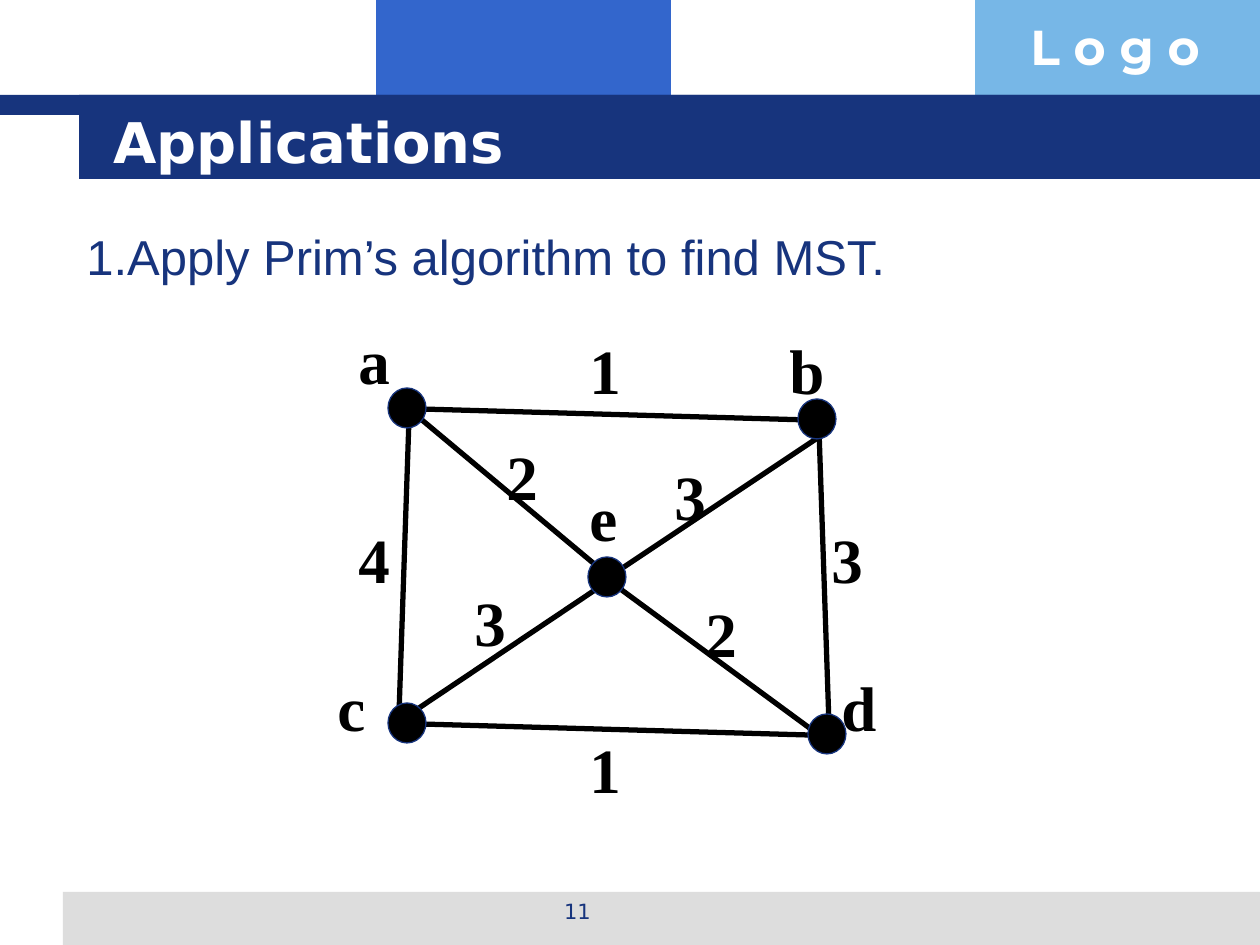
from dataclasses import dataclass

import pptx
import pptx.dml.color
import pptx.enum.shapes
import pptx.enum.text
import pptx.oxml.ns
import pptx.util
from lxml import etree

PX = 914400 / 126  # EMU in one px
COLORS = {"navy": "17347D", "blue": "3366CC", "sky": "77B7E7",
          "gray": "DDDDDD", "white": "FFFFFF", "black": "000000"}
SHAPES = pptx.enum.shapes.MSO_SHAPE
ALIGN = pptx.enum.text.PP_ALIGN
NODE_SIZE = (38, 40)
LABEL_SIZE = (68, 89)


@dataclass
class Band:
    left: int
    top: int
    width: int
    height: int
    color: str


@dataclass
class Caption:
    text: str
    left: int
    top: int
    width: int
    height: int
    size: int
    font: str
    color: str
    bold: bool = False
    align: ALIGN = ALIGN.LEFT
    space_before: int = 0


@dataclass
class Node:
    name: str
    left: int
    top: int
    label_left: int
    label_top: int


@dataclass
class Edge:
    weight: str
    start: tuple[int, int]
    end: tuple[int, int]
    label_left: int
    label_top: int


def px(length: int) -> int:
    return round(length * PX)


def rgb(color: str) -> pptx.dml.color.RGBColor:
    return pptx.dml.color.RGBColor.from_string(COLORS[color])


def draw_band(slide, band: Band) -> None:
    bar = slide.shapes.add_shape(SHAPES.RECTANGLE, px(band.left), px(band.top),
                                 px(band.width), px(band.height))
    bar.shadow.inherit = False
    bar.fill.solid()
    bar.fill.fore_color.rgb = rgb(band.color)
    bar.line.fill.background()


def draw_caption(slide, caption: Caption) -> None:
    box = slide.shapes.add_textbox(px(caption.left), px(caption.top),
                                   px(caption.width), px(caption.height))
    box.text_frame.word_wrap = True
    box.text_frame.text = caption.text
    paragraph = box.text_frame.paragraphs[0]
    paragraph.alignment = caption.align
    paragraph.space_before = pptx.util.Pt(caption.space_before)
    font = paragraph.runs[0].font
    font.name = caption.font
    font.size = pptx.util.Pt(caption.size)
    font.bold = caption.bold
    font.color.rgb = rgb(caption.color)


def draw_label(slide, text: str, left: int, top: int) -> None:
    draw_caption(slide, Caption(text, left, top, *LABEL_SIZE, 36, "Times New Roman",
                                "black", bold=True, space_before=4))


def draw_edge(slide, edge: Edge) -> None:
    line = slide.shapes.add_connector(pptx.enum.shapes.MSO_CONNECTOR.STRAIGHT,
                                      *map(px, edge.start + edge.end))
    line.line.color.rgb = rgb("black")
    line.line.width = pptx.util.Pt(3)
    properties = line._element.find(pptx.oxml.ns.qn("p:spPr"))
    etree.SubElement(properties, pptx.oxml.ns.qn("a:effectLst"))


def draw_node(slide, node: Node) -> None:
    dot = slide.shapes.add_shape(SHAPES.OVAL, px(node.left), px(node.top),
                                 *map(px, NODE_SIZE))
    dot.shadow.inherit = False
    dot.fill.solid()
    dot.fill.fore_color.rgb = rgb("black")
    dot.line.color.rgb = rgb("navy")
    dot.line.width = pptx.util.Pt(0.75)


BANDS = [
    Band(376, 0, 295, 116, "blue"),
    Band(975, 0, 285, 116, "sky"),
    Band(63, 892, 1197, 53, "gray"),
    Band(0, 95, 1260, 20, "navy"),
    Band(79, 95, 1181, 84, "navy"),
]

CAPTIONS = [
    Caption("L o g o", 1018, 10, 242, 72, 28, "Montserrat", "white", bold=True),
    Caption("11", 431, 892, 293, 44, 12, "DejaVu Sans", "navy", align=ALIGN.CENTER),
    Caption("Applications", 101, 101, 1075, 78, 32, "DejaVu Sans", "white", bold=True),
    Caption("1.Apply Prim’s algorithm to find MST.", 74, 220, 903, 72, 28, "Arial",
            "navy", space_before=3),
]

NODES = [
    Node("a", 388, 388, 346, 315),
    Node("b", 798, 399, 777, 325),
    Node("c", 388, 703, 325, 662),
    Node("d", 808, 714, 829, 662),
    Node("e", 588, 557, 577, 472),
]

EDGES = [
    Edge("1", (420, 409), (808, 420), 577, 325),  # a-b
    Edge("2", (410, 410), (598, 567), 494, 431),  # a-e
    Edge("3", (609, 577), (819, 437), 662, 451),  # e-b
    Edge("4", (409, 420), (399, 714), 346, 514),  # a-c
    Edge("1", (420, 724), (808, 735), 577, 724),  # c-d
    Edge("3", (819, 430), (829, 724), 819, 514),  # b-d
    Edge("3", (410, 714), (598, 588), 462, 577),  # c-e
    Edge("2", (619, 588), (819, 735), 693, 588),  # e-d
]


def main() -> None:
    deck = pptx.Presentation()
    deck.slide_width, deck.slide_height = px(1260), px(945)
    slide = deck.slides.add_slide(deck.slide_layouts[6])

    # Page frame and its texts
    for band in BANDS:
        draw_band(slide, band)
    for caption in CAPTIONS:
        draw_caption(slide, caption)

    # Weighted graph: edges, then nodes, then labels
    for edge in EDGES:
        draw_edge(slide, edge)
    for node in NODES:
        draw_node(slide, node)
    for node in NODES:
        draw_label(slide, node.name, node.label_left, node.label_top)
    for edge in EDGES:
        draw_label(slide, edge.weight, edge.label_left, edge.label_top)

    deck.save("out.pptx")


if __name__ == "__main__":
    main()
